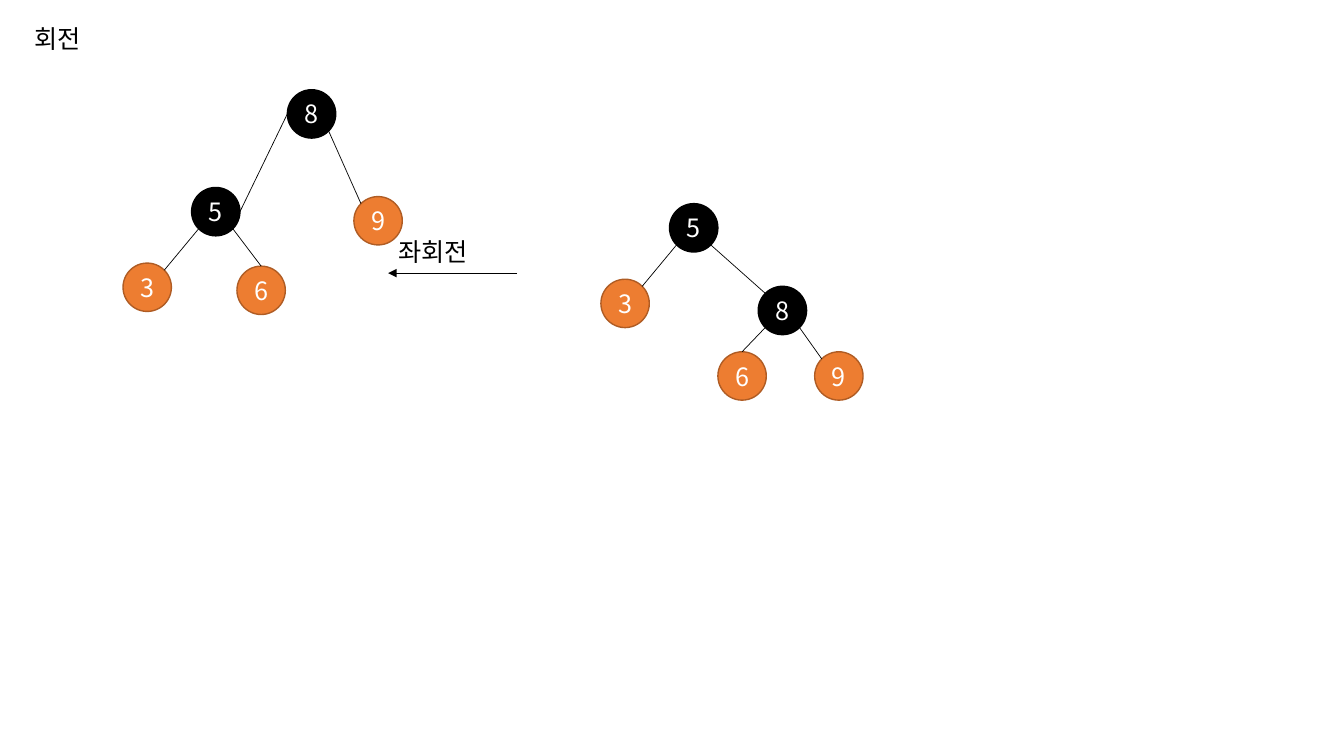
import math

import lxml.etree
import pptx
import pptx.dml.color
import pptx.enum.shapes
import pptx.enum.text
import pptx.oxml.ns
import pptx.util

Inches = pptx.util.Inches
FONT = "Noto Sans CJK KR"
COLORS = {"black": "000000", "white": "FFFFFF", "orange": "ED7D31", "rust": "AF5C24"}
STYLES = {"black": ("black", "black"), "red": ("orange", "rust")}
NODE_SIZE = 0.48

TITLE = ("회전", (0.24, 0.18, 0.71, 0.4))
ARROW_LABEL = ("좌회전", (3.85, 2.3, 0.96, 0.4))
ARROW = ((5.13, 2.71), (3.85, 2.71))

# Nodes: key -> (style, left, top). Edges: parent, side, child, side.
TREES = [
    {
        "nodes": {
            "8": ("black", 7.52, 2.84),
            "5": ("black", 6.64, 2.02),
            "6": ("red", 7.12, 3.49),
            "3": ("red", 5.96, 2.77),
            "9": ("red", 8.08, 3.49),
        },
        "edges": [
            ("8", "top left", "5", "bottom right"),
            ("8", "bottom right", "9", "top left"),
            ("5", "bottom left", "3", "top right"),
            ("8", "bottom left", "6", "top"),
        ],
    },
    {
        "nodes": {
            "8": ("black", 2.85, 0.89),
            "5": ("black", 1.9, 1.86),
            "6": ("red", 2.35, 2.64),
            "3": ("red", 1.22, 2.61),
            "9": ("red", 3.51, 1.95),
        },
        "edges": [
            ("8", "left", "5", "right"),
            ("8", "bottom right", "9", "top left"),
            ("5", "bottom left", "3", "top right"),
            ("5", "bottom right", "6", "top"),
        ],
    },
]
ANGLES = {"right": 0, "bottom right": 45, "bottom left": 135, "left": 180,
          "top left": 225, "top": 270, "top right": 315}


def rgb(name):
    return pptx.dml.color.RGBColor.from_string(COLORS[name])


def write(s, text, color, align, **frame):
    tf = s.text_frame
    for name, value in frame.items():
        setattr(tf, name, value)
    p = tf.paragraphs[0]
    p.alignment = align
    r = p.add_run()
    r.text = text
    for name, value in {"name": FONT, "size": pptx.util.Pt(18)}.items():
        setattr(r.font, name, value)
    r.font.color.rgb = rgb(color)
    ea = lxml.etree.SubElement(r.font._element, pptx.oxml.ns.qn("a:ea"))
    ea.set("typeface", FONT)


def write_label(s, text):
    write(s, text, "black", pptx.enum.text.PP_ALIGN.LEFT, word_wrap=False,
          auto_size=pptx.enum.text.MSO_AUTO_SIZE.SHAPE_TO_FIT_TEXT,
          vertical_anchor=pptx.enum.text.MSO_ANCHOR.TOP)


def add_node(sp, key, style, left, top):
    s = sp.add_shape(pptx.enum.shapes.MSO_SHAPE.OVAL,
                     *map(Inches, (left, top, NODE_SIZE, NODE_SIZE)))
    fill, line = STYLES[style]
    s.shadow.inherit = False
    s.fill.solid()
    s.fill.fore_color.rgb = rgb(fill)
    s.line.color.rgb = rgb(line)
    s.line.width = pptx.util.Pt(1)
    write(s, key, "white", pptx.enum.text.PP_ALIGN.CENTER,
          vertical_anchor=pptx.enum.text.MSO_ANCHOR.MIDDLE,
          margin_left=0, margin_right=0, margin_top=0, margin_bottom=0)


def rim_point(node, side):
    """Point on the circle of a node at the named side."""
    _, left, top = node
    angle = math.radians(ANGLES[side])
    radius = NODE_SIZE / 2
    return (left + radius * (1 + math.cos(angle)),
            top + radius * (1 + math.sin(angle)))


def add_line(sp, start, end):
    c = sp.add_connector(pptx.enum.shapes.MSO_CONNECTOR.STRAIGHT,
                         *map(Inches, (*start, *end)))
    c.line.color.rgb = rgb("black")
    c.line.width = pptx.util.Pt(0.5)
    lxml.etree.SubElement(c._element.spPr, pptx.oxml.ns.qn("a:effectLst"))
    return c


def add_tree(sp, nodes, edges):
    for key, node in nodes.items():
        add_node(sp, key, *node)
    for parent, parent_side, child, child_side in edges:
        add_line(sp, rim_point(nodes[parent], parent_side),
                 rim_point(nodes[child], child_side))


def add_arrow(sp):
    c = add_line(sp, *ARROW)
    tail = lxml.etree.SubElement(c.line._get_or_add_ln(), pptx.oxml.ns.qn("a:tailEnd"))
    tail.set("type", "triangle")
    text, box = ARROW_LABEL
    write_label(sp.add_textbox(*map(Inches, box)), text)


def main():
    prs = pptx.Presentation()
    prs.slide_width, prs.slide_height = Inches(13.33), Inches(7.5)
    slide = prs.slides.add_slide(prs.slide_layouts[5])
    sp = slide.shapes
    text, box = TITLE
    for name, value in zip(("left", "top", "width", "height"), box):
        setattr(sp.title, name, Inches(value))
    write_label(sp.title, text)
    after, before = TREES
    add_tree(sp, **after)
    add_arrow(sp)
    add_tree(sp, **before)
    prs.save("out.pptx")


if __name__ == "__main__":
    main()
